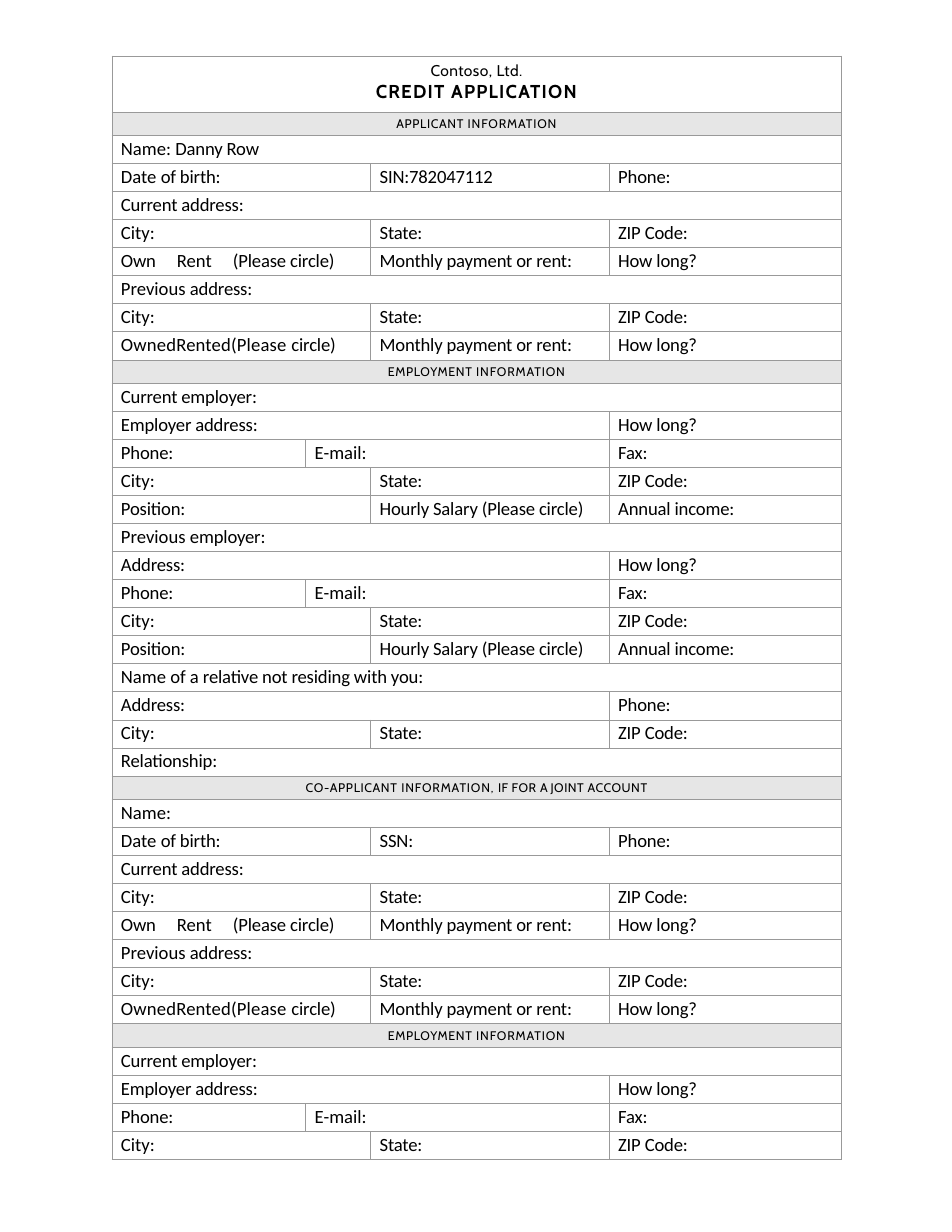
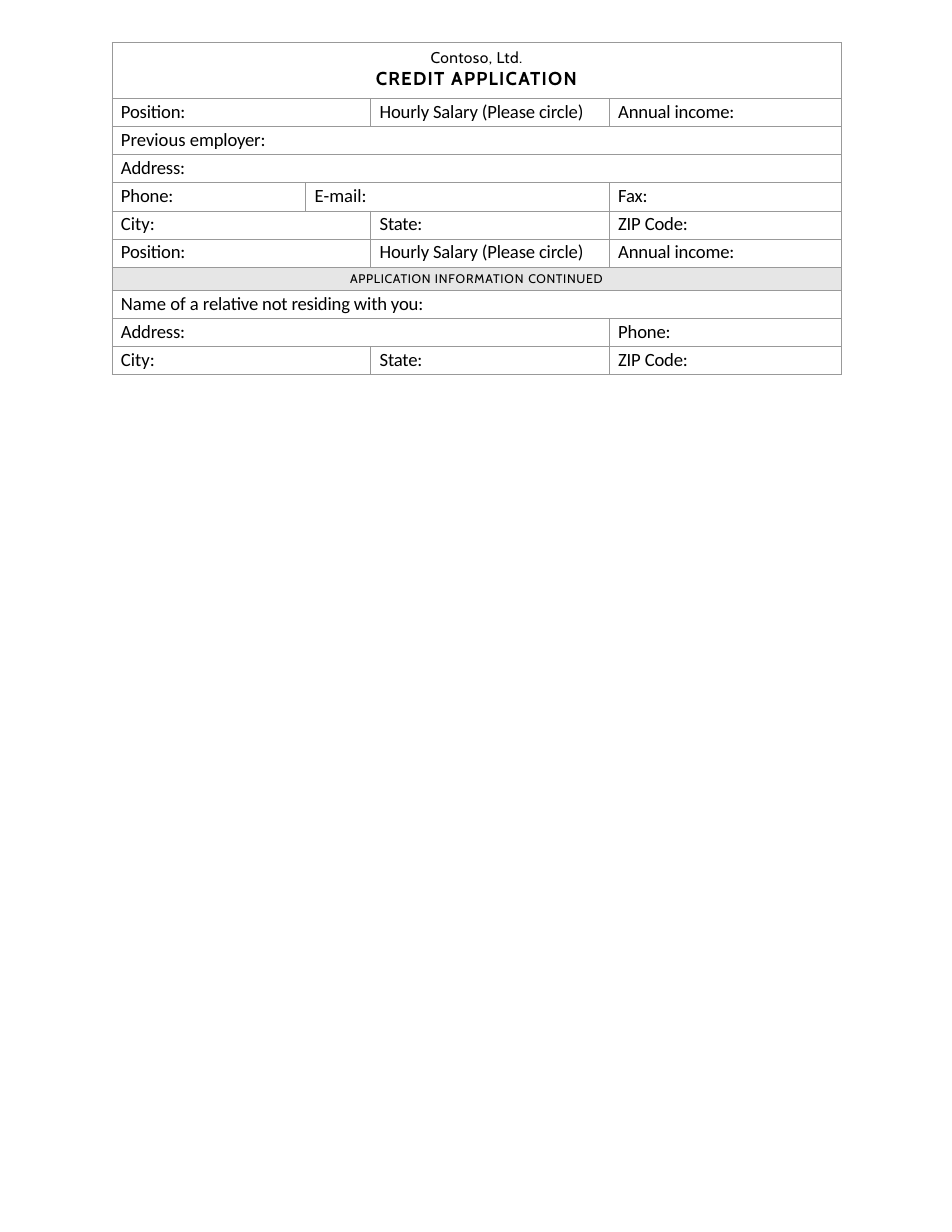
import pptx
import pptx.dml.color
import pptx.enum.text
import pptx.oxml.ns
import pptx.util
from lxml import etree
from pptx.util import Inches

COLUMNS = [1.73, 0.58, 2.13, 2.07]
HEADER_HEIGHT, BAND_HEIGHT = 0.5, 0.21
TAB_STOPS = [0.58, 1.08]
TIGHT = -0.1

# Labels whose letter spacing differs from the tight default
SPACED_RUNS = {
    "City:": [("City:", 0)],
    "E-mail:": [("E-mail:", 0)],
    "Name:": [("Name:", 0)],
    "Name: Danny Row": [("Name: ", 0), ("Danny Row", TIGHT)],
    "Date of birth:": [("Date ", 0), ("of birth:", TIGHT)],
    "Previous address:": [("Previous ", 0), ("address:", TIGHT)],
    "Previous employer:": [("Previous ", 0), ("employer:", TIGHT)],
    "Own\tRent\t(Please circle)": [("Own\t", TIGHT), ("Rent\t", 0), ("(Please circle)", TIGHT)],
    "OwnedRented(Please circle)": [("OwnedRented(Please ", 0.1), ("circle)", TIGHT)],
    "Name of a relative not residing with you:": [
        ("Name ", 0), ("of ", TIGHT), ("a ", 0), ("relative not residing with you:", TIGHT)],
}


def color(value):
    return pptx.dml.color.RGBColor.from_string(value)


# Row layouts: each row is a list of (label, columns covered)
def full(label):
    return [(label, 4)]


def wide(label, last):
    return [(label, 3), (last, 1)]


def thirds(first, second, third):
    return [(first, 2), (second, 1), (third, 1)]


# A band is a list of (text, letter spacing), with spacing as a float
def band(*runs):
    return list(runs)


class FormBuilder:
    """Holds the style and the current slide."""
    body_font, heading_font = "Calibri", "Cabin"
    text_color, line_color, band_color = "000000", "999999", "E6E6E6"

    def __init__(self, presentation):
        self.presentation = presentation
        self.slide = None

    def new_slide(self):
        self.slide = self.presentation.slides.add_slide(self.presentation.slide_layouts[6])

    def add_runs(self, paragraph, runs, font, size, before, bold=False):
        paragraph.space_before = pptx.util.Pt(before)
        for text, spacing in runs:
            run = paragraph.add_run()
            run.text = text
            run.font.name = font
            run.font.size = pptx.util.Pt(size)
            run.font.bold = bold
            run.font.color.rgb = color(self.text_color)
            run._r.get_or_add_rPr().set("spc", str(round(spacing * 100)))

    def style_cell(self, cell, fill=None):
        cell.margin_left = cell.margin_right = cell.margin_top = cell.margin_bottom = 0
        properties = cell._tc.get_or_add_tcPr()
        for side in ("a:lnL", "a:lnR", "a:lnT", "a:lnB"):
            line = etree.SubElement(properties, pptx.oxml.ns.qn(side), w=str(pptx.util.Pt(0.5)))
            solid = etree.SubElement(line, pptx.oxml.ns.qn("a:solidFill"))
            etree.SubElement(solid, pptx.oxml.ns.qn("a:srgbClr"), val=self.line_color)
        if fill:
            cell.fill.solid()
            cell.fill.fore_color.rgb = color(fill)
        else:
            cell.fill.background()

    def header_cell(self, cell):
        cell.margin_top = Inches(0.05)
        company = cell.text_frame.paragraphs[0]
        title = cell.text_frame.add_paragraph()
        self.add_runs(company, [("Contoso, Ltd.", 0.3)], self.heading_font, 10, 3.6)
        self.add_runs(title, [("CREDIT APPLICATION", 0.8)], self.heading_font, 12, 0.1, bold=True)
        company.alignment = title.alignment = pptx.enum.text.PP_ALIGN.CENTER

    def band_cell(self, cell, runs):
        cell.margin_top = Inches(0.04)
        paragraph = cell.text_frame.paragraphs[0]
        paragraph.alignment = pptx.enum.text.PP_ALIGN.CENTER
        self.add_runs(paragraph, runs, self.heading_font, 8, 2.5)

    def field_cell(self, cell, label):
        cell.margin_top = Inches(0.02)
        paragraph = cell.text_frame.paragraphs[0]
        runs = SPACED_RUNS.get(label, [(label, TIGHT)])
        self.add_runs(paragraph, runs, self.body_font, 12, 1.1)
        properties = paragraph._p.get_or_add_pPr()
        properties.set("marL", str(Inches(0.08)))
        properties.set("indent", "0")
        if "\t" in label:
            tabs = etree.SubElement(properties, pptx.oxml.ns.qn("a:tabLst"))
            for stop in TAB_STOPS:
                etree.SubElement(tabs, pptx.oxml.ns.qn("a:tab"), pos=str(Inches(stop)), algn="l")

    def form(self, top, height, rows):
        """Draws the header and all rows; field rows share the remaining height."""
        frame = self.slide.shapes.add_table(
            len(rows) + 1, len(COLUMNS), Inches(1), Inches(top), Inches(sum(COLUMNS)), Inches(height))
        table = frame.table
        table.first_row = table.horz_banding = False
        for column, width in zip(table.columns, COLUMNS):
            column.width = Inches(width)

        is_band = [isinstance(row[0][1], float) for row in rows]
        bands = sum(is_band)
        field_height = (height - HEADER_HEIGHT - bands * BAND_HEIGHT) / (len(rows) - bands)
        table.rows[0].height = Inches(HEADER_HEIGHT)
        for cell in table.rows[0].cells:
            self.style_cell(cell)
        table.cell(0, 0).merge(table.cell(0, 3))
        self.header_cell(table.cell(0, 0))

        for index, (row, banded) in enumerate(zip(rows, is_band), start=1):
            table.rows[index].height = Inches(BAND_HEIGHT if banded else field_height)
            for cell in table.rows[index].cells:
                self.style_cell(cell, self.band_color if banded else None)
            if banded:
                table.cell(index, 0).merge(table.cell(index, 3))
                self.band_cell(table.cell(index, 0), row)
                continue
            start = 0
            for label, span in row:
                cell = table.cell(index, start)
                if span > 1:
                    cell.merge(table.cell(index, start + span - 1))
                self.field_cell(cell, label)
                start += span


# Rows that several sections share
CITY = thirds("City:", "State:", "ZIP Code:")
CONTACT = [("Phone:", 1), ("E-mail:", 2), ("Fax:", 1)]
POSITION = thirds("Position:", "Hourly Salary (Please circle)", "Annual income:")
EMPLOYMENT_BAND = band(("EMPLOYMENT ", 0.4), ("INFORMATION", 0.5))
CURRENT_EMPLOYER = [
    full("Current employer:"), wide("Employer address:", "How long?"), CONTACT, CITY]
RELATIVE = [
    full("Name of a relative not residing with you:"), wide("Address:", "Phone:"), CITY]


def person(name, number):
    payment = ("Monthly payment or rent:", "How long?")
    return [
        full(name),
        thirds("Date of birth:", number, "Phone:"),
        full("Current address:"), CITY,
        thirds("Own\tRent\t(Please circle)", *payment),
        full("Previous address:"), CITY,
        thirds("OwnedRented(Please circle)", *payment),
    ]


def previous_employer(address_row):
    return [full("Previous employer:"), address_row, CONTACT, CITY, POSITION]


presentation = pptx.Presentation()
presentation.slide_width = Inches(8.5)
presentation.slide_height = Inches(11)
builder = FormBuilder(presentation)

# Slide 1: applicant, employment and co-applicant
builder.new_slide()
builder.form(0.5, 9.86, [
    band(("APPLICANT ", 0.4), ("INFORMATION", 0.5)),
    *person("Name: Danny Row", "SIN:782047112"),
    EMPLOYMENT_BAND,
    *CURRENT_EMPLOYER,
    POSITION,
    *previous_employer(wide("Address:", "How long?")),
    *RELATIVE,
    full("Relationship:"),
    band(("CO-APPLICANT ", 0.4), ("INFORMATION, ", 0.5), ("IF ", 0.2), ("FOR ", 0.3),
         ("A ", 0.0), ("JOINT ACCOUNT", 0.3)),
    *person("Name:", "SSN:"),
    EMPLOYMENT_BAND,
    *CURRENT_EMPLOYER,
])

# Slide 2: the co-applicant's employment, continued
builder.new_slide()
builder.form(0.38, 2.97, [
    POSITION,
    *previous_employer(full("Address:")),
    band(("APPLICATION ", 0.4), ("INFORMATION ", 0.5), ("CONTINUED", 0.4)),
    *RELATIVE,
])

presentation.save("out.pptx")
